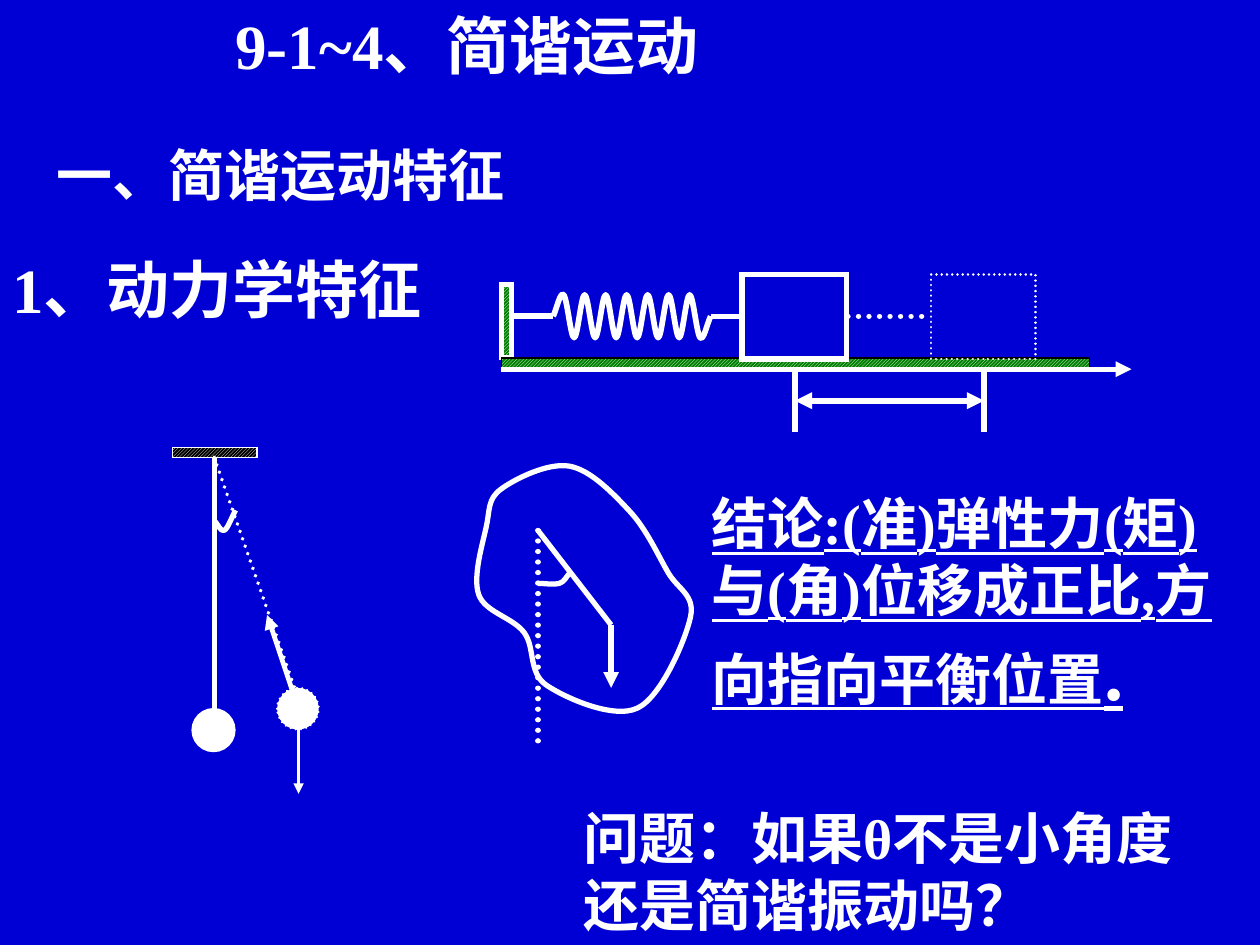
from lxml import etree
from pptx import Presentation
from pptx.dml.color import RGBColor
from pptx.enum import dml, shapes, text
from pptx.oxml.ns import qn
from pptx.util import Inches, Pt

COLORS = {"background": "0000D5", "ink": "FFFFFF", "ground": "008000", "dark": "000000"}
FONT = "Times New Roman"


def color(name):
    return RGBColor.from_string(COLORS[name])


def add_run(paragraph, content, size=32, underline=False):
    run = paragraph.add_run()
    run.text = content
    run.font.name = FONT
    run.font.size = Pt(size)
    run.font.bold = True
    run.font.underline = underline
    run.font.color.rgb = color("ink")


def bezier_points(nodes, closed=False):
    def mirror(end, inner):
        return tuple(2 * a - b for a, b in zip(end, inner))

    if closed:
        chain = [nodes[-1], *nodes, *nodes[:2]]
    else:
        chain = [mirror(nodes[0], nodes[1]), *nodes, mirror(nodes[-1], nodes[-2])]
    points = [nodes[0]]
    for before, start, end, after in zip(chain, chain[1:], chain[2:], chain[3:]):
        points.append(tuple(s + (e - b) / 6 for s, e, b in zip(start, end, before)))
        points.append(tuple(e - (a - s) / 6 for s, e, a in zip(start, end, after)))
        points.append(end)
    return points


class SlideBuilder:
    def __init__(self, slide):
        self.slide = slide
        slide.background.fill.solid()
        slide.background.fill.fore_color.rgb = color("background")

    def outline(self, shape, width, dotted=False, ink="ink", arrows=(), miter=False):
        shape.line.color.rgb = color(ink)
        shape.line.width = Pt(width)
        line_element = shape._element.spPr.find(qn("a:ln"))
        if dotted:
            shape.line.dash_style = dml.MSO_LINE.ROUND_DOT
            line_element.set("cap", "rnd")
        if miter:
            etree.SubElement(line_element, qn("a:miter"), lim="800000")
        for arrow in arrows:
            etree.SubElement(line_element, qn(f"a:{arrow}"), type="triangle")

    def textbox(self, left, top, width, height, *parts):
        shape = self.slide.shapes.add_textbox(*map(Inches, (left, top, width, height)))
        frame = shape.text_frame
        frame.word_wrap = True
        frame.auto_size = text.MSO_AUTO_SIZE.SHAPE_TO_FIT_TEXT
        for content, style in parts:
            add_run(frame.paragraphs[0], content, **style)

    def shape(self, left, top, width, height, weight, kind=shapes.MSO_SHAPE.RECTANGLE,
              fill=None, hatch=None, dotted=False, ink="ink"):
        shape = self.slide.shapes.add_shape(kind, *map(Inches, (left, top, width, height)))
        shape.shadow.inherit = False
        if hatch:
            shape.fill.patterned()
            shape.fill.pattern = dml.MSO_PATTERN.LIGHT_UPWARD_DIAGONAL
            shape.fill.fore_color.rgb = color("ink")
            shape.fill.back_color.rgb = color(hatch)
        elif fill:
            shape.fill.solid()
            shape.fill.fore_color.rgb = color(fill)
        else:
            shape.fill.background()
        self.outline(shape, weight, dotted, ink, miter=True)

    def line(self, start, end, weight=3, dotted=False, arrows=()):
        connector = self.slide.shapes.add_connector(
            shapes.MSO_CONNECTOR.STRAIGHT, *map(Inches, (*start, *end)))
        self.outline(connector, weight, dotted, arrows=arrows)
        etree.SubElement(connector._element.spPr, qn("a:effectLst"))

    def curve(self, nodes, weight=3, closed=False):
        points = [tuple(map(Inches, point)) for point in bezier_points(nodes, closed)]
        builder = self.slide.shapes.build_freeform(*points[0])
        builder.add_line_segments(points[1:], close=closed)
        shape = builder.convert_to_shape()
        segments = list(shape._element.iter(qn("a:lnTo")))
        for first, second, third in zip(segments[::3], segments[1::3], segments[2::3]):
            first.tag = qn("a:cubicBezTo")
            for segment in (second, third):
                first.append(segment[0])
                segment.getparent().remove(segment)
        shape.shadow.inherit = False
        shape.fill.background()
        self.outline(shape, weight)


def draw_spring(builder):
    axis = 2.51
    builder.shape(3.98, 2.26, 0.08, 0.58, 3, hatch="ground")
    builder.shape(3.98, 2.84, 4.67, 0.08, 0.75, hatch="ground", ink="dark")
    step = 1.25 / 15
    coils = [(4.39 + i * step, 2.34 if i % 2 else 2.68) for i in range(1, 15)]
    builder.curve([(4.39, axis), *coils, (5.64, axis)], 3.25)
    builder.shape(5.89, 2.18, 0.83, 0.67, 3.25)
    builder.shape(7.39, 2.18, 0.83, 0.67, 1.5, dotted=True)
    builder.line((4.06, axis), (4.39, axis), 3.25)
    builder.line((5.64, axis), (5.89, axis), 2.75)
    builder.line((6.73, axis), (7.39, axis), dotted=True)
    for x in (6.31, 7.81):
        builder.line((x, 2.93), (x, 3.43))
    builder.line((6.31, 3.18), (7.81, 3.18), 3.25, arrows=("headEnd", "tailEnd"))
    builder.line((3.98, 2.93), (8.98, 2.93), arrows=("tailEnd",))


def draw_pendulum(builder):
    pivot, bob = (1.7, 3.63), (2.37, 5.63)
    ball = {"kind": shapes.MSO_SHAPE.OVAL, "fill": "ink"}
    builder.shape(1.37, 3.55, 0.67, 0.08, 0.75, hatch="dark")
    builder.line(pivot, (1.7, 5.63), 2.75)
    builder.shape(1.53, 5.63, 0.33, 0.33, 1.5, **ball)
    builder.line(pivot, (2.37, 5.55), 2.25, dotted=True)
    builder.shape(2.2, 5.46, 0.33, 0.33, 1.5, dotted=True, **ball)
    builder.line(bob, (2.37, 6.3), 1.5, arrows=("tailEnd",))
    builder.line(bob, (2.12, 4.88), 2.75, arrows=("tailEnd",))
    builder.curve([(1.7, 4.13), (1.78, 4.21), (1.87, 4.05)])


def draw_rigid_body(builder):
    pivot, mass_center = (4.27, 4.21), (4.85, 4.96)
    builder.curve([(3.98, 3.88), (4.52, 3.7), (5, 4.06), (5.3, 4.54), (5.48, 4.9),
                   (5.06, 5.62), (4.34, 5.44), (4.16, 5.02), (3.8, 4.72), (3.86, 4.18)],
                  closed=True)
    builder.line(pivot, (4.27, 5.96), dotted=True)
    builder.line(mass_center, (4.85, 5.46), arrows=("tailEnd",))
    builder.line(pivot, mass_center)
    builder.curve([(4.27, 4.63), (4.44, 4.63), (4.52, 4.55)])


def main():
    presentation = Presentation()
    presentation.slide_width = Inches(10)
    presentation.slide_height = Inches(7.5)
    builder = SlideBuilder(presentation.slides.add_slide(presentation.slide_layouts[6]))
    builder.textbox(0, 1.94, 6.75, 0.7, ("1、动力学特征", {"size": 36}))
    draw_spring(builder)
    builder.textbox(1.77, 0, 5.91, 0.7, ("9-1~4、简谐运动", {"size": 36}))
    builder.textbox(0.35, 1.07, 5.75, 0.63, ("一、简谐运动特征", {}))
    draw_pendulum(builder)
    draw_rigid_body(builder)
    builder.textbox(5.55, 3.83, 4.25, 1.92,
                    ("结论:(准)弹性力(矩)与(角)位移成正比,方向指向平衡位置", {"underline": True}),
                    (".", {"size": 44, "underline": True}))
    builder.textbox(4.53, 6.33, 5, 1.18, ("问题：如果θ不是小角度还是简谐振动吗？", {}))
    presentation.save("out.pptx")


if __name__ == "__main__":
    main()
